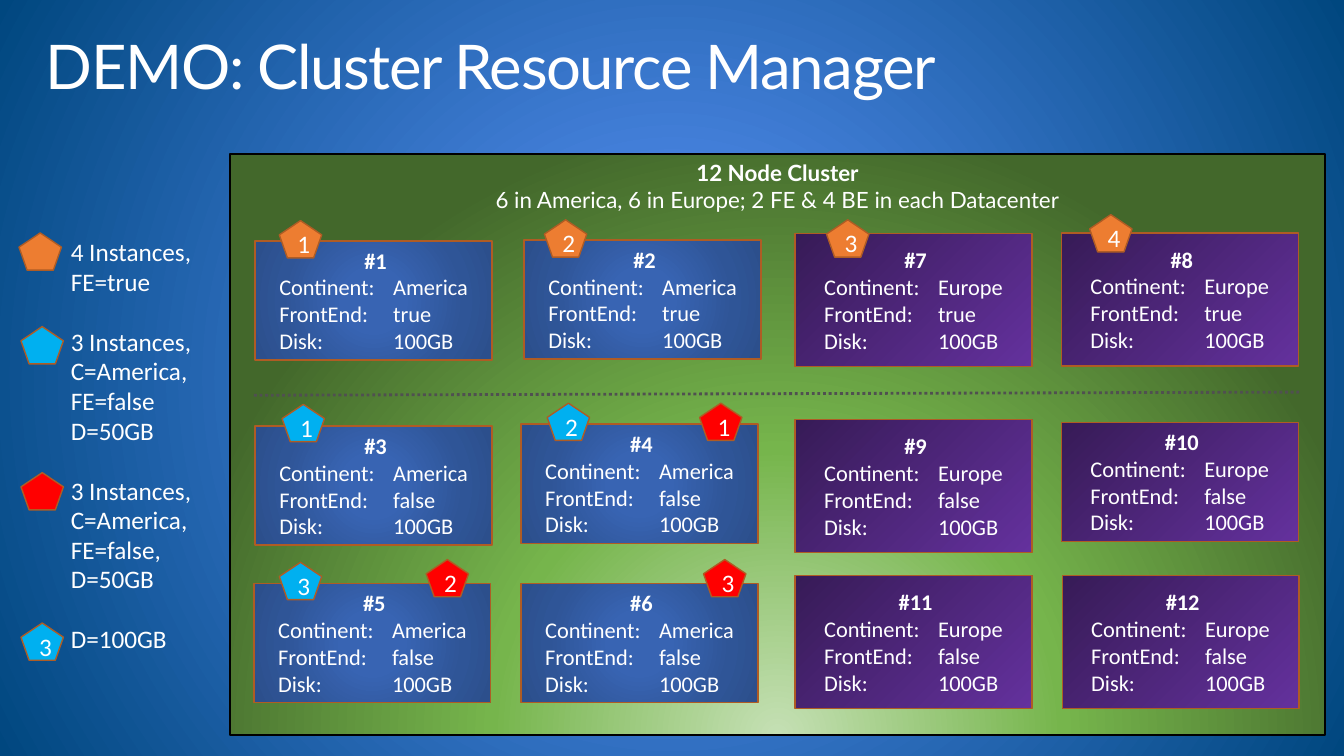
from lxml import etree
from pptx import Presentation
from pptx.dml.color import RGBColor
from pptx.enum.dml import MSO_LINE
from pptx.enum.shapes import MSO_CONNECTOR, MSO_SHAPE
from pptx.enum.text import MSO_ANCHOR, MSO_AUTO_SIZE, PP_ALIGN
from pptx.oxml.ns import qn
from pptx.util import Cm, Pt

RECT, PENTAGON = MSO_SHAPE.RECTANGLE, MSO_SHAPE.REGULAR_PENTAGON
LEFT, CENTER = PP_ALIGN.LEFT, PP_ALIGN.CENTER
TOP, MIDDLE = MSO_ANCHOR.TOP, MSO_ANCHOR.MIDDLE

COLORS = {
    "text": "FFFFFF", "border": "AF5C24", "frame": "000000", "divider": "505050",
    "orange": "ED7D31", "blue": "00B0F0", "red": "FF0000",
}
GRADIENTS = {
    "background": ([(0, "5F96FF"), (100, "00477F")], (50, 50, 50, 50)),
    "cluster": ([(0, "C5E0B4"), (46, "76B54C"), (100, "43682B")], (50, 130, 50, -30)),
    "America": ([(0, "3864B3"), (23, "3864B3"), (69, "2F5597"), (97, "2C4F8C")],
                (50, 50, 50, 50)),
    "Europe": ([(0, "64319D"), (100, "371B57")], 225),
}
TITLE = "DEMO: Cluster Resource Manager"
CLUSTER = "12 Node Cluster\v6 in America, 6 in Europe; 2 FE & 4 BE in each Datacenter"
LEGEND = [
    "4 Instances, FE=true",
    "3 Instances,\vC=America,\vFE=false\vD=50GB",
    "3 Instances,\vC=America,\vFE=false,\vD=50GB",
    "D=100GB",
]
NODES = [
    (1, "America", "true", 6.43, 6.07, 3),
    (2, "America", "true", 13.21, 6.05, 3),
    (7, "Europe", "true", 20.04, 5.89, 3.35),
    (8, "Europe", "true", 26.75, 5.87, 3.35),
    (3, "America", "false", 6.43, 10.74, 3),
    (4, "America", "false", 13.13, 10.69, 3),
    (9, "Europe", "false", 20.04, 10.57, 3.35),
    (10, "Europe", "false", 26.75, 10.64, 3),
    (5, "America", "false", 6.4, 14.71, 3),
    (6, "America", "false", 13.13, 14.71, 3),
    (11, "Europe", "false", 20.04, 14.5, 3.35),
    (12, "Europe", "false", 26.77, 14.5, 3.35),
]
BADGES = [
    ("orange", "1", 7.04, 5.56), ("orange", "2", 13.72, 5.54),
    ("orange", "3", 20.83, 5.54), ("orange", "4", 27.46, 5.41),
    ("blue", "1", 7.11, 10.19), ("blue", "2", 13.79, 10.16), ("blue", "3", 7.04, 14.17),
    ("red", "1", 17.63, 10.16), ("red", "2", 10.74, 14.1), ("red", "3", 17.73, 14.1),
    ("orange", "", 0.48, 5.87), ("blue", "", 0.53, 8.23),
    ("red", "", 0.53, 11.91), ("blue", "3", 0.53, 15.7),
]
NODE_W = 5.97
NODE_INSET = {"America": 0.61, "Europe": 0.73}
VALUE_TAB = 2.87
BADGE_W, BADGE_H = 1.07, 0.94


def color(name):
    return RGBColor.from_string(COLORS[name])


def paint_gradient(fill, holder, name):
    stops, direction = GRADIENTS[name]
    fill.solid()
    grad = etree.Element(qn("a:gradFill"), rotWithShape="1")
    stop_list = etree.SubElement(grad, qn("a:gsLst"))
    for pos, value in stops:
        stop = etree.SubElement(stop_list, qn("a:gs"), pos=str(pos * 1000))
        etree.SubElement(stop, qn("a:srgbClr"), val=value)
    if isinstance(direction, tuple):
        circle = etree.SubElement(grad, qn("a:path"), path="circle")
        sides = {k: str(v * 1000) for k, v in zip("ltrb", direction)}
        etree.SubElement(circle, qn("a:fillToRect"), sides)
    else:
        etree.SubElement(grad, qn("a:lin"), ang=str(direction * 60000), scaled="0")
    holder.replace(holder.find(qn("a:solidFill")), grad)


def place(sp, left, top, width, height):
    sp.left, sp.top, sp.width, sp.height = Cm(left), Cm(top), Cm(width), Cm(height)


def add_box(s, kind, left, top, width, height, line, line_width):
    sp = s.shapes.add_shape(kind, Cm(left), Cm(top), Cm(width), Cm(height))
    sp.shadow.inherit = False
    sp.line.color.rgb = color(line)
    sp.line.width = Pt(line_width)
    return sp


def set_insets(tf, side, upright):
    tf.margin_left = tf.margin_right = Cm(side)
    tf.margin_top = tf.margin_bottom = Cm(upright)


def format_text(tf, font, size, align, anchor):
    tf.vertical_anchor = anchor
    tf.word_wrap = True
    tf.auto_size = MSO_AUTO_SIZE.NONE
    for p in tf.paragraphs:
        p.alignment = align
        for r in p.runs:
            r.font.name, r.font.size = font, Pt(size)
            r.font.color.rgb = color("text")


def add_node(s, number, continent, front_end, left, top, height):
    sp = add_box(s, RECT, left, top, NODE_W, height, "border", 1)
    paint_gradient(sp.fill, sp._element.spPr, continent)
    tf = sp.text_frame
    tf.text = "\n".join([f"#{number}", f"Continent:\t{continent}",
                         f"FrontEnd:\t{front_end}", "Disk:\t100GB"])
    format_text(tf, "Calibri", 16, LEFT, MIDDLE)
    set_insets(tf, NODE_INSET[continent], 0.13)
    tf.margin_right = Cm(NODE_INSET[continent] - 0.1)
    heading, *rows = tf.paragraphs
    heading.alignment = CENTER
    heading.runs[0].font.bold = True
    for p in rows:
        tabs = etree.SubElement(p._p.get_or_add_pPr(), qn("a:tabLst"))
        etree.SubElement(tabs, qn("a:tab"), pos=str(Cm(VALUE_TAB)), algn="l")


def add_badge(s, fill, label, left, top):
    sp = add_box(s, PENTAGON, left, top, BADGE_W, BADGE_H, "border", 1)
    sp.fill.solid()
    sp.fill.fore_color.rgb = color(fill)
    if label:
        sp.text_frame.text = label
        format_text(sp.text_frame, "Calibri", 18, CENTER, MIDDLE)


def main():
    prs = Presentation()
    prs.slide_width, prs.slide_height = Cm(33.87), Cm(19.05)
    s = prs.slides.add_slide(prs.slide_layouts[1])
    bg = s.background.fill
    bg.solid()
    paint_gradient(bg, s._element.find(".//" + qn("p:bgPr")), "background")

    title, legend = s.placeholders
    place(title, 0.74, 0.66, 32.39, 2.49)
    title.text_frame.text = TITLE
    format_text(title.text_frame, "Lato", 44, LEFT, TOP)
    set_insets(title.text_frame, 0.41, 0.25)
    p = title.text_frame.paragraphs[0]
    p.line_spacing = 0.9
    p.runs[0]._r.get_or_add_rPr().set("spc", "-100")

    place(legend, 0.74, 5.87, 4.72, 11.02)
    legend.text_frame.text = "\n".join(LEGEND)
    format_text(legend.text_frame, "Calibri", 18, LEFT, TOP)
    for i, p in enumerate(legend.text_frame.paragraphs):
        p.line_spacing = 0.98
        p.space_before = Pt(21.6 if i else 0)
        pPr = p._p.get_or_add_pPr()
        pPr.set("marL", str(Cm(0.79)))
        pPr.set("indent", "0")
        etree.SubElement(pPr, qn("a:buNone"))

    cluster = add_box(s, RECT, 5.79, 3.89, 27.61, 14.63, "frame", 1.5)
    paint_gradient(cluster.fill, cluster._element.spPr, "cluster")
    cluster.text_frame.text = CLUSTER
    format_text(cluster.text_frame, "Lato", 16, CENTER, TOP)
    set_insets(cluster.text_frame, 0.13, 0.13)
    cluster.text_frame.paragraphs[0].runs[0].font.bold = True

    for node in NODES:
        add_node(s, *node)
    for badge in BADGES:
        add_badge(s, *badge)

    divider = s.shapes.add_connector(MSO_CONNECTOR.STRAIGHT,
                                     Cm(6.4), Cm(9.96), Cm(32.74), Cm(9.88))
    divider.line.color.rgb = color("divider")
    divider.line.width = Pt(2)
    divider.line.dash_style = MSO_LINE.ROUND_DOT
    etree.SubElement(divider._element.spPr, qn("a:effectLst"))

    prs.save("out.pptx")


if __name__ == "__main__":
    main()
